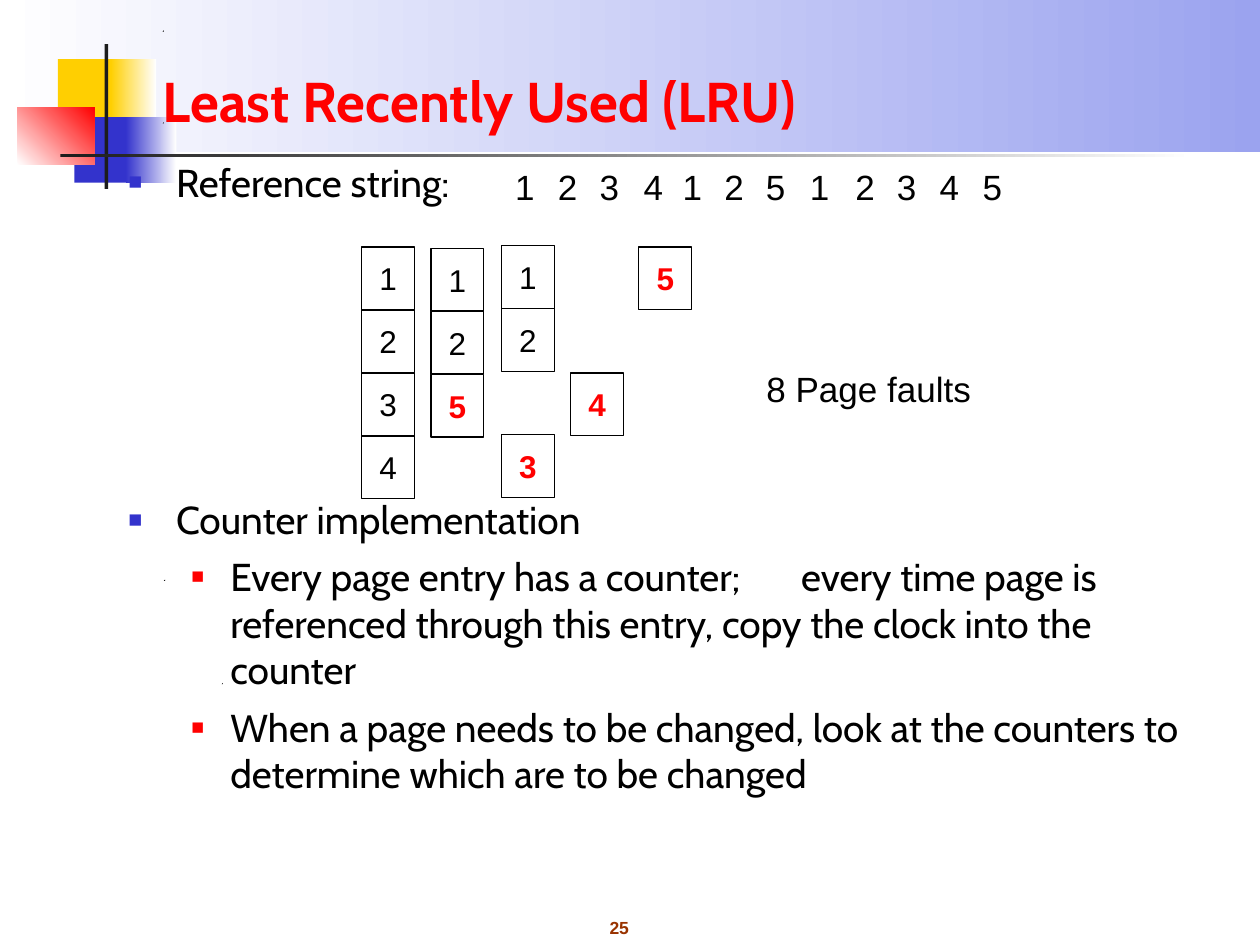
"""Build the Least Recently Used page replacement slide."""
from dataclasses import dataclass

from lxml.etree import SubElement
from pptx import Presentation
from pptx.dml.color import RGBColor
from pptx.enum.shapes import MSO_SHAPE
from pptx.enum.text import MSO_ANCHOR as Anchor, PP_ALIGN as Align
from pptx.oxml.ns import qn
from pptx.shapes.autoshape import Shape
from pptx.slide import Slide
from pptx.text.text import _Paragraph as Paragraph
from pptx.util import Inches, Pt

COLORS = {
    "white": "FFFFFF", "black": "000000", "charcoal": "1C1C1C", "red": "FF0000",
    "yellow": "FFCF01", "blue": "3333CC", "lavender": "9BA3EF", "brown": "993300",
}
CELL_WIDTH, CELL_HEIGHT = 0.42, 0.5


@dataclass
class Block:
    left: float
    top: float
    width: float
    height: float
    color: str
    end_color: str = ""
    angle: float = 0


@dataclass
class FrameColumn:
    left: float
    top: float
    pages: str
    fault: str
    kept_filled: bool = False


@dataclass
class Bullet:
    text: str
    indent: float
    hanging: float
    color: str
    size_percent: int
    space_before: float = 6
    tab_stops: tuple[float, ...] = ()


BLOCKS = [
    Block(0, 0, 10, 1.21, "white", "lavender"),
    Block(0.46, 0.47, 0.48, 0.52, "yellow"),
    Block(0.88, 0.47, 0.36, 0.52, "yellow", "white"),
    Block(0.59, 0.93, 0.46, 0.52, "blue"),
    Block(1, 0.93, 0.4, 0.52, "blue", "white"),
    Block(0.14, 0.85, 0.61, 0.46, "white", "red", 45),
    Block(0.83, 0.35, 0.03, 1.15, "charcoal"),
    Block(0.48, 1.22, 9, 0.03, "charcoal", "white"),
]
SPECKS = [(1.29, 0.24), (1.76, 5.42), (1.3, 4.6), (5.65, 4.6), (1.29, 0.97)]
BULLETS = [
    Bullet("Reference string:", 0.38, 0.38, "blue", 60, 0),
    Bullet("Counter implementation", 0.38, 0.38, "blue", 60, 166),
    Bullet("Every page entry has a counter;\tevery time page is referenced "
           "through this entry, copy the clock into the counter",
           0.81, 0.31, "red", 55, tab_stops=(4.53, 5.34)),
    Bullet("When a page needs to be changed, look at the counters to "
           "determine which are to be changed", 0.81, 0.31, "red", 55),
]
COLUMNS = [
    FrameColumn(2.87, 1.96, "1234", "", True),
    FrameColumn(3.42, 1.97, "125", "5"),
    FrameColumn(3.98, 1.95, "12 3", "3"),
    FrameColumn(4.53, 1.96, "  4", "4"),
    FrameColumn(5.07, 1.96, "5", "5"),
]
REFERENCES = "123412512345"
REFERENCE_LEFTS = [3.99, 4.33, 4.66, 5.01, 5.32, 5.65,
                   5.98, 6.33, 6.69, 7.02, 7.36, 7.7]


def rgb(name: str) -> RGBColor:
    return RGBColor.from_string(COLORS[name])


def format_runs(paragraph: Paragraph, size: float, color: str = "black",
                bold: bool = False, font: str = "Arial") -> None:
    for run in paragraph.runs:
        run.font.name = font
        run.font.size = Pt(size)
        run.font.bold = bold
        run.font.color.rgb = rgb(color)


def add_block(slide: Slide, block: Block) -> None:
    shape = slide.shapes.add_shape(
        MSO_SHAPE.RECTANGLE, Inches(block.left), Inches(block.top),
        Inches(block.width), Inches(block.height))
    shape.shadow.inherit = False
    shape.line.fill.background()
    if not block.end_color:
        shape.fill.solid()
        shape.fill.fore_color.rgb = rgb(block.color)
        return
    shape.fill.gradient()
    shape.fill.gradient_angle = block.angle
    names = (block.color, block.end_color)
    for position, (stop, name) in enumerate(zip(shape.fill.gradient_stops, names)):
        stop.position = position
        stop.color.rgb = rgb(name)


def add_speck(slide: Slide, left: float, top: float) -> None:
    builder = slide.shapes.build_freeform(Inches(left), Inches(top + 0.01))
    builder.add_line_segments([(Inches(left + 0.01), Inches(top)),
                               (Inches(left + 0.01), Inches(top + 0.01))])
    shape = builder.convert_to_shape()
    shape.shadow.inherit = False
    shape.fill.solid()
    shape.fill.fore_color.rgb = rgb("black")
    shape.line.fill.background()


def center_text(shape: Shape, text: str, size: float, color: str = "black",
                bold: bool = False) -> None:
    frame = shape.text_frame
    frame.text = text
    frame.word_wrap = False
    frame.vertical_anchor = Anchor.MIDDLE
    frame.paragraphs[0].alignment = Align.CENTER
    format_runs(frame.paragraphs[0], size, color, bold)


def add_label(slide: Slide, text: str, left: float, top: float, width: float,
              height: float, size: float = 20, color: str = "black",
              bold: bool = False) -> None:
    box = slide.shapes.add_textbox(
        Inches(left), Inches(top), Inches(width), Inches(height))
    center_text(box, text, size, color, bold)


def add_frame_column(slide: Slide, column: FrameColumn) -> None:
    for row, page in enumerate(column.pages):
        if page == " ":
            continue
        is_fault = page == column.fault
        cell = slide.shapes.add_shape(
            MSO_SHAPE.RECTANGLE, Inches(column.left),
            Inches(column.top + row * CELL_HEIGHT),
            Inches(CELL_WIDTH), Inches(CELL_HEIGHT))
        cell.shadow.inherit = False
        cell.line.color.rgb = rgb("black")
        cell.line.width = Pt(0.75)
        if is_fault or column.kept_filled:
            cell.fill.solid()
            cell.fill.fore_color.rgb = rgb("white")
        else:
            cell.fill.background()
        center_text(cell, page, 18, "red" if is_fault else "black", is_fault)


def write_bullet(paragraph: Paragraph, bullet: Bullet) -> None:
    paragraph.text = bullet.text
    properties = paragraph._p.get_or_add_pPr()
    properties.set("marL", str(Inches(bullet.indent)))
    properties.set("indent", str(-Inches(bullet.hanging)))
    bullet_color = SubElement(properties, qn("a:buClr"))
    SubElement(bullet_color, qn("a:srgbClr"), val=COLORS[bullet.color])
    SubElement(properties, qn("a:buSzPct"), val=str(bullet.size_percent * 1000))
    SubElement(properties, qn("a:buFont"), typeface="Arial")
    SubElement(properties, qn("a:buChar"), char="■")
    if bullet.tab_stops:
        tabs = SubElement(properties, qn("a:tabLst"))
        for stop in bullet.tab_stops:
            SubElement(tabs, qn("a:tab"), pos=str(Inches(stop)), algn="l")
    paragraph.space_before = Pt(bullet.space_before)
    format_runs(paragraph, 22.2, font="Cabin")


def place_title(slide: Slide) -> None:
    title = slide.shapes.title
    title.element.getparent().append(title.element)
    title.left, title.top = Inches(1.19), Inches(0.2)
    title.width, title.height = Inches(8.52), Inches(0.91)
    title.text_frame.text = "Least Recently Used (LRU)"
    title.text_frame.vertical_anchor = Anchor.BOTTOM
    paragraph = title.text_frame.paragraphs[0]
    paragraph.alignment = Align.LEFT
    format_runs(paragraph, 32, "red", True, "Cabin")


def add_body(slide: Slide) -> None:
    body = slide.shapes.add_textbox(
        Inches(0.92), Inches(1.21), Inches(8.57), Inches(5.37))
    frame = body.text_frame
    frame.word_wrap = True
    for index, bullet in enumerate(BULLETS):
        write_bullet(frame.add_paragraph() if index else frame.paragraphs[0], bullet)


def main() -> None:
    presentation = Presentation()
    presentation.slide_width, presentation.slide_height = Inches(10), Inches(7.5)
    slide = presentation.slides.add_slide(presentation.slide_layouts[5])
    for block in BLOCKS:
        add_block(slide, block)
    for left, top in SPECKS:
        add_speck(slide, left, top)
    add_label(slide, "25", 4.48, 7.23, 0.87, 0.27, 10, "brown", True)
    place_title(slide)
    add_body(slide)
    for column in COLUMNS:
        add_frame_column(slide, column)
    for page, left in zip(REFERENCES, REFERENCE_LEFTS):
        add_label(slide, page, left, 1.26, 0.35, 0.44)
    add_label(slide, "8 Page faults", 5.82, 2.83, 2.15, 0.51)
    presentation.save("out.pptx")


if __name__ == "__main__":
    main()
